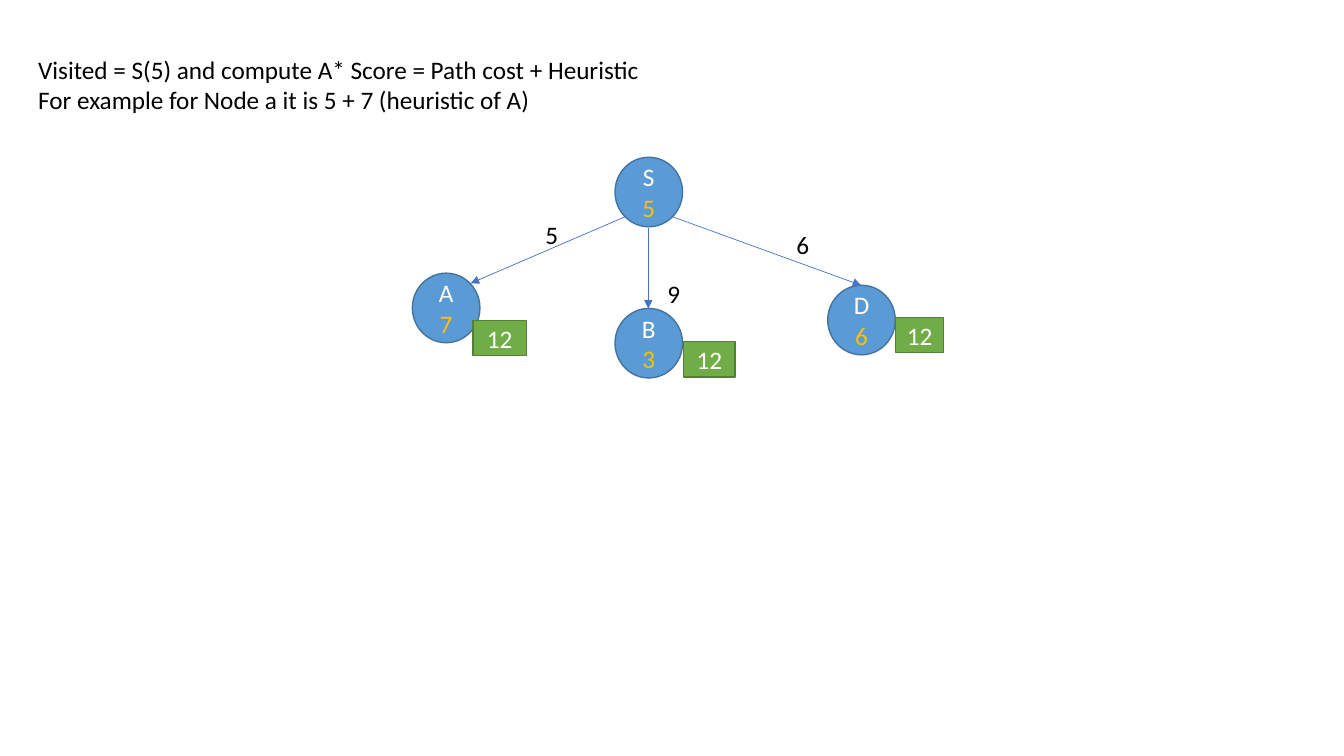
from lxml import etree
from pptx import Presentation
from pptx.dml.color import RGBColor
from pptx.enum.shapes import MSO_CONNECTOR as Connector, MSO_SHAPE as Shape
from pptx.enum.text import MSO_ANCHOR as Anchor, MSO_AUTO_SIZE as AutoSize, PP_ALIGN as Align
from pptx.oxml.ns import qn
from pptx.util import Pt

PX = 9144
THEME = {
    "font": "Calibri",
    "size": Pt(18),
    "text": RGBColor.from_string("000000"),
    "light": RGBColor.from_string("FFFFFF"),
    "heuristic": RGBColor.from_string("FFC000"),
    "node": RGBColor.from_string("5B9BD5"),
    "node_line": RGBColor.from_string("43739E"),
    "score": RGBColor.from_string("70AD47"),
    "score_line": RGBColor.from_string("538035"),
    "arrow": RGBColor.from_string("4472C4"),
    "outline": Pt(1),
    "arrow_width": Pt(0.5),
}


def style_text(box, color):
    for para in box.text_frame.paragraphs:
        for span in para.runs:
            span.font.name = THEME["font"]
            span.font.size = THEME["size"]
            span.font.color.rgb = color


def add_box(kind, bounds, role, text):
    box = page.shapes.add_shape(kind, *[n * PX for n in bounds])
    box.shadow.inherit = False
    box.fill.solid()
    box.fill.fore_color.rgb = THEME[role]
    box.line.color.rgb = THEME[role + "_line"]
    box.line.width = THEME["outline"]
    box.text_frame.text = text
    box.text_frame.vertical_anchor = Anchor.MIDDLE
    box.text_frame.paragraphs[0].alignment = Align.CENTER
    style_text(box, THEME["light"])
    return box


deck = Presentation()
deck.slide_width = 1333 * PX
deck.slide_height = 750 * PX
page = deck.slides.add_slide(deck.slide_layouts[6])

nodes = [
    ("S", "5", 610, 156),
    ("A", "7", 409, 271),
    ("B", "3", 610, 306),
    ("D", "6", 821, 283),
]
for name, heuristic, left, top in nodes:
    node = add_box(Shape.OVAL, (left, top, 67, 69), "node", name + " ")
    span = node.text_frame.paragraphs[0].add_run()
    span.text = heuristic
    span.font.name = THEME["font"]
    span.font.size = THEME["size"]
    span.font.color.rgb = THEME["heuristic"]

edges = [
    (620, 215, 467, 281),
    (643, 226, 643, 306),
    (667, 215, 854, 283),
]
for ends in edges:
    arrow = page.shapes.add_connector(Connector.STRAIGHT, *[n * PX for n in ends])
    arrow.line.color.rgb = THEME["arrow"]
    arrow.line.width = THEME["arrow_width"]
    etree.SubElement(arrow.line._get_or_add_ln(), qn("a:tailEnd"), type="triangle")
    etree.SubElement(arrow._element.spPr, qn("a:effectLst"))

explanation = (
    "Visited = S(5) and compute A* Score = Path cost + Heuristic\n"
    "For example for Node a it is 5 + 7 (heuristic of A)"
)
labels = [
    (explanation, 28, 49, 624, 71),
    ("5", 531, 213, 33, 40),
    ("9", 652, 271, 33, 40),
    ("6", 780, 223, 33, 40),
]
for text, *bounds in labels:
    label = page.shapes.add_textbox(*[n * PX for n in bounds])
    label.text_frame.word_wrap = False
    label.text_frame.auto_size = AutoSize.SHAPE_TO_FIT_TEXT
    label.text_frame.text = text
    style_text(label, THEME["text"])

for left, top, width in [(469, 318, 53), (678, 339, 51), (888, 315, 48)]:
    add_box(Shape.RECTANGLE, (left, top, width, 35), "score", "12")

deck.save("out.pptx")
